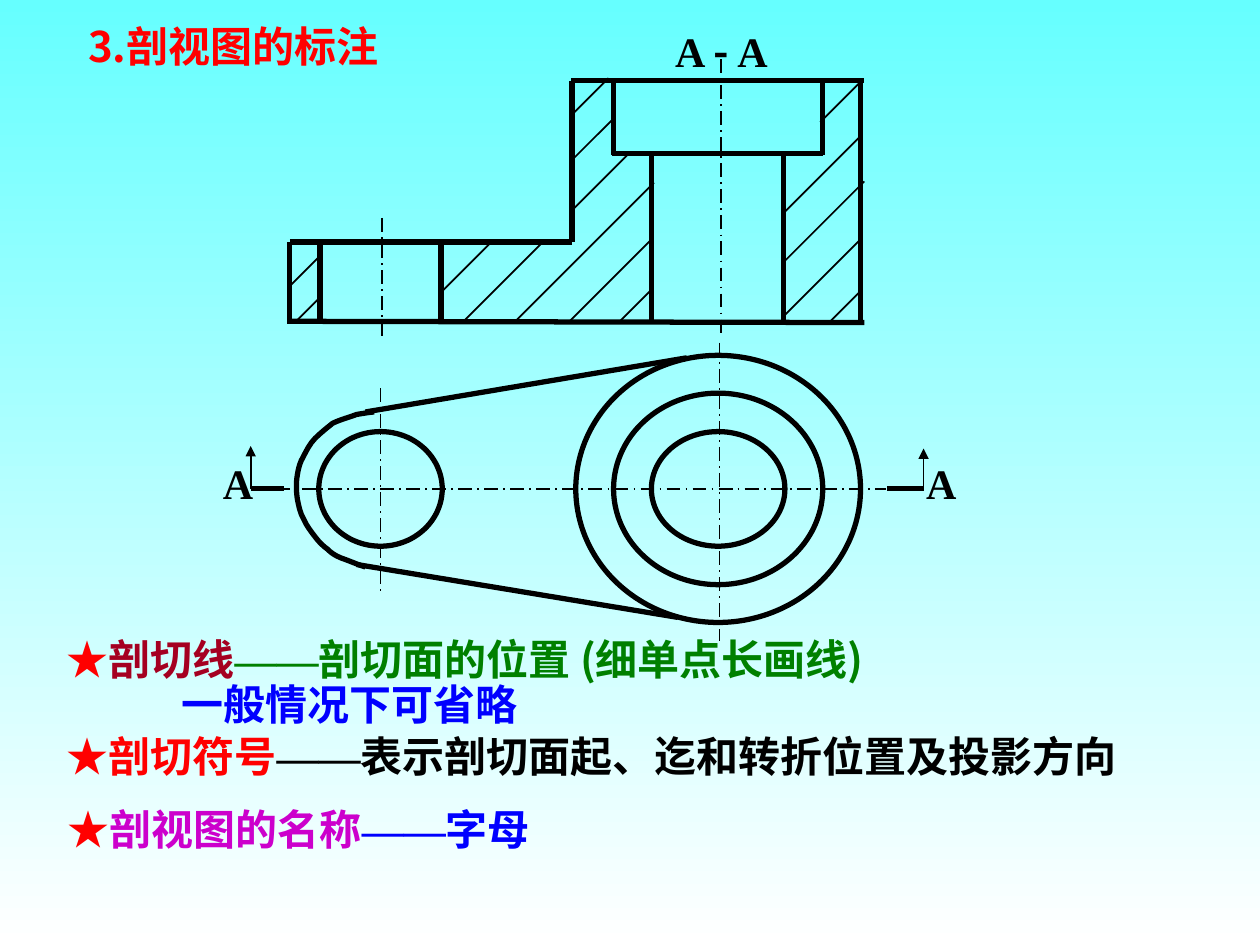
import pptx
import pptx.dml.color
import pptx.enum.dml
import pptx.enum.shapes
import pptx.enum.text
import pptx.oxml
import pptx.oxml.ns
import pptx.util
from pptx.util import Inches

COLORS = {
    "sky": "66FFFF", "white": "FFFFFF", "ink": "000000", "red": "FF0000",
    "maroon": "A50021", "green": "008000", "blue": "0000FF", "purple": "CC00CC",
}
SERIF, SANS = "Times New Roman", "Noto Sans CJK SC"
THICK, THIN = 3, 1
ANCHOR = pptx.enum.text.MSO_ANCHOR
qn = pptx.oxml.ns.qn


def rgb(color):
    return pptx.dml.color.RGBColor.from_string(COLORS[color])


def draw_line(slide, box, start, end, width, dashed=False, arrow=False):
    left, top = box[:2]
    line = slide.shapes.add_connector(
        pptx.enum.shapes.MSO_CONNECTOR.STRAIGHT,
        Inches(left + start[0]), Inches(top + start[1]),
        Inches(left + end[0]), Inches(top + end[1]))
    line.line.color.rgb = rgb("ink")
    line.line.width = pptx.util.Pt(width)
    if dashed:
        line.line.dash_style = pptx.enum.dml.MSO_LINE.LONG_DASH_DOT
    if arrow:
        line.line._get_or_add_ln().append(
            pptx.oxml.parse_xml(f'<a:tailEnd {pptx.oxml.ns.nsdecls("a")} type="triangle"/>'))
    line._element.spPr.append(
        pptx.oxml.parse_xml(f'<a:effectLst {pptx.oxml.ns.nsdecls("a")}/>'))


def outline(shape):
    shape.shadow.inherit = False
    shape.fill.background()
    shape.line.color.rgb = rgb("ink")
    shape.line.width = pptx.util.Pt(THICK)


def draw_curve(slide, box, points):
    """Draw an open curve: a start point, then three points per cubic segment."""
    corners = [(Inches(box[0] + x), Inches(box[1] + y)) for x, y in points]
    builder = slide.shapes.build_freeform(*corners[0], scale=1.0)
    builder.add_line_segments(corners[1:], close=False)
    curve = builder.convert_to_shape()
    outline(curve)
    steps = list(curve._element.iter(qn("a:lnTo")))
    for i in range(0, len(steps), 3):
        cubic = pptx.oxml.parse_xml(f'<a:cubicBezTo {pptx.oxml.ns.nsdecls("a")}/>')
        steps[i].addprevious(cubic)
        for step in steps[i:i + 3]:
            cubic.append(step[0])
            step.getparent().remove(step)


def section_view(slide, box):
    width, height = box[2:]
    step, bore = 1.28, 0.59  # top of the arm, floor of the counterbore
    hatching = [  # lower left end and horizontal reach of each 45° line
        (2.24, 1.03, 0.44), (2.61, 1.92, 0.27), (2.21, 1.92, 0.67),
        (1.79, 1.91, 1.1), (1.37, 1.92, 0.63), (2.24, 0.63, 0.32),
        (2.24, 0.27, 0.29), (1.21, 1.67, 0.38), (4.28, 1.92, 0.26),
        (3.93, 1.86, 0.59), (3.92, 1.44, 0.64), (3.93, 1.04, 0.61),
        (4.21, 0.33, 0.32), (0, 1.63, 0.25), (0.06, 1.9, 0.17),
    ]
    for x, y, reach in hatching:
        draw_line(slide, box, (x, y), (x + reach, y - reach), THIN)
    for x, top, bottom in [(3.42, -0.17, 2.04), (0.73, 1.09, 2.06)]:
        draw_line(slide, box, (x, top), (x, bottom), THIN, dashed=True)
    walls = [(4.53, 0, height), (0, step, 1.93), (1.2, step, height),
             (0.24, step, height), (2.57, 0, bore), (4.23, 0, bore),
             (3.92, bore, height), (2.87, bore, 1.93), (2.24, 0, step)]
    for x, top, bottom in walls:
        draw_line(slide, box, (x, top), (x, bottom), THICK)
    draw_line(slide, box, (0, height - 0.01), (width, height), THICK)
    for y, left, right in [(0, 2.23, width), (step, 0, 2.24), (0.58, 2.56, 4.23)]:
        draw_line(slide, box, (left, y), (right, y), THICK)


def plan_view(slide, box):
    hub, eye, axis = 3.35, 0.67, 1.06
    draw_line(slide, box, (-0.16, axis), (4.68, axis), THIN, dashed=True)
    for x, top, bottom in [(3.36, -0.1, 2.27), (eye, 0.26, 1.89)]:
        draw_line(slide, box, (x, top), (x, bottom), THIN, dashed=True)
    for x, width, height in [(hub, 2.26, 2.12), (hub, 1.66, 1.52),
                             (hub, 1.06, 0.91), (eye, 0.98, 0.91)]:
        outline(slide.shapes.add_shape(
            pptx.enum.shapes.MSO_SHAPE.OVAL,
            Inches(box[0] + x - width / 2), Inches(box[1] + axis - height / 2),
            Inches(width), Inches(height)))
    draw_line(slide, box, (0.55, 0.45), (3.1, 0.02), THICK)
    draw_line(slide, box, (0.48, 1.66), (3.03, 2.08), THICK)
    draw_curve(slide, box, [
        (0.62, 0.45),
        (0.6, 0.45), (0.54, 0.46), (0.48, 0.47),
        (0.43, 0.49), (0.35, 0.51), (0.29, 0.54),
        (0.24, 0.58), (0.19, 0.62), (0.15, 0.66),
        (0.11, 0.7), (0.08, 0.76), (0.06, 0.8),
        (0.03, 0.85), (0.02, 0.89), (0.01, 0.95),
        (0, 1), (0, 1.08), (0.01, 1.14),
        (0.02, 1.19), (0.03, 1.25), (0.06, 1.3),
        (0.08, 1.35), (0.12, 1.4), (0.15, 1.44),
        (0.18, 1.48), (0.21, 1.51), (0.25, 1.54),
        (0.28, 1.57), (0.31, 1.59), (0.36, 1.61),
        (0.42, 1.63), (0.51, 1.67), (0.55, 1.68),
    ])


def cutting_marks(slide, box):
    width, height = box[2:]
    for x, inner, tip in [(0, 0.26, 0), (width, width - 0.29, 0.02)]:
        draw_line(slide, box, (x, height), (inner, height), THICK)
        draw_line(slide, box, (x, height), (x, tip), THIN, arrow=True)
    for x in (-0.32, width - 0.08):
        write_text(slide, (box[0] + x, box[1] + 0.04, 0.44, 0.5),
                   [[("A", SERIF, "ink")]], anchor=ANCHOR.MIDDLE, label=True)


def style_font(font, name, color):
    """Set colour and typeface, for Latin and East Asian letters alike."""
    font.color.rgb = rgb(color)
    font.name = name
    font._rPr.find(qn("a:latin")).addnext(pptx.oxml.parse_xml(
        f'<a:ea {pptx.oxml.ns.nsdecls("a")} typeface="{name}"/>'))


def write_text(slide, box, paragraphs, anchor=ANCHOR.TOP, label=False,
               spacing=1.0, last_indent=0):
    """Write paragraphs, each a list of (text, typeface, colour) runs."""
    frame = slide.shapes.add_textbox(*map(Inches, box)).text_frame
    frame.word_wrap = not label
    frame.auto_size = pptx.enum.text.MSO_AUTO_SIZE.SHAPE_TO_FIT_TEXT
    frame.vertical_anchor = anchor
    for i, runs in enumerate(paragraphs):
        paragraph = frame.add_paragraph() if i else frame.paragraphs[0]
        paragraph.line_spacing = spacing
        if label:
            paragraph.alignment = pptx.enum.text.PP_ALIGN.CENTER
        paragraph.font.size = pptx.util.Pt(24)
        paragraph.font.bold = True
        for text, name, color in runs:
            run = paragraph.add_run()
            run.text = text
            style_font(paragraph.font if len(runs) == 1 else run.font, name, color)
    if last_indent:
        paragraph._p.get_or_add_pPr().set("marL", str(Inches(last_indent)))


def term(name, name_color, meaning, meaning_color):
    """Return the runs of a starred term, a dash and its meaning."""
    return [("★", SERIF, "red"), (name, SANS, name_color),
            ("——", SERIF, meaning_color), (meaning, SANS, meaning_color)]


def explanations(slide, box):
    left, top = box[:2]
    write_text(slide, (left, top + 0.77, 9.35, 0.46),
               [term("剖切符号", "red", "表示剖切面起、迄和转折位置及投影方向", "ink")],
               spacing=0.9)
    write_text(slide, (left + 0.01, top + 1.31, 5.88, 0.5),
               [term("剖视图的名称", "purple", "字母", "blue")], anchor=ANCHOR.MIDDLE)
    write_text(slide, (left, top, 8.24, 0.82),
               [term("剖切线", "maroon", "剖切面的位置 (细单点长画线)", "green"),
                [("一般情况下可省略", SANS, "blue")]],
               anchor=ANCHOR.MIDDLE, spacing=0.9, last_indent=0.91)


def main():
    deck = pptx.Presentation()
    deck.slide_width, deck.slide_height = Inches(10), Inches(7.5)
    slide = deck.slides.add_slide(deck.slide_layouts[6])
    backdrop = slide.background.fill
    backdrop.gradient()
    backdrop.gradient_angle = 270
    for stop, color in zip(backdrop.gradient_stops, ("sky", "white")):
        stop.color.rgb = rgb(color)

    plan_view(slide, (2.35, 2.82, 4.48, 2.12))
    section_view(slide, (2.3, 0.64, 4.56, 1.92))
    cutting_marks(slide, (1.99, 3.54, 5.34, 0.34))
    write_text(slide, (5.25, 0.15, 0.95, 0.5),
               [[("A ", SERIF, "ink"), ("-", SANS, "ink"), (" A", SERIF, "ink")]],
               anchor=ANCHOR.MIDDLE, label=True)
    write_text(slide, (0.6, 0.11, 3.15, 0.5), [[("3.剖视图的标注", SANS, "red")]])
    explanations(slide, (0.43, 5.02, 9.35, 1.81))
    deck.save("out.pptx")


if __name__ == "__main__":
    main()
